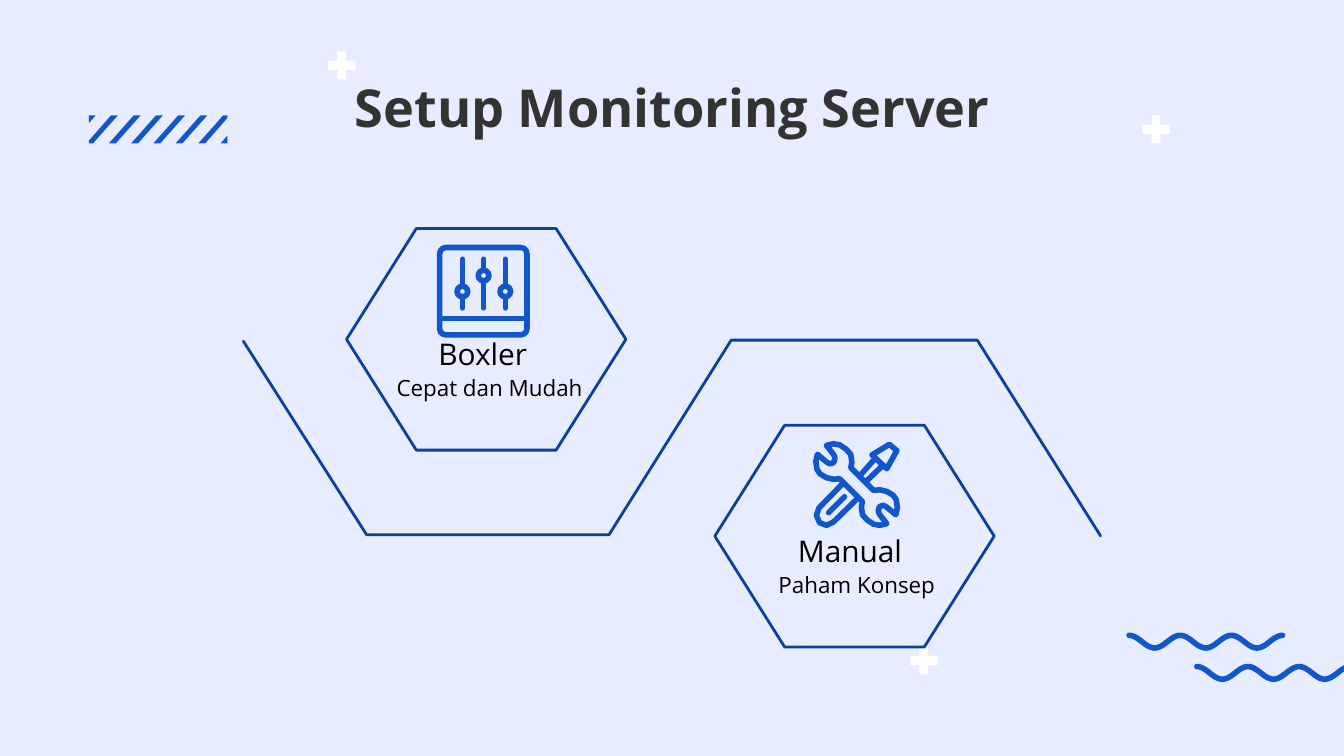
"""Build a slide that sets two ways of server monitoring side by side."""
from math import cos, pi

from pptx import Presentation
from pptx.dml.color import RGBColor
from pptx.enum.shapes import MSO_CONNECTOR, MSO_SHAPE
from pptx.enum.text import MSO_ANCHOR, PP_ALIGN
from pptx.oxml.ns import qn
from pptx.util import Cm, Pt
from lxml.etree import SubElement

HUES = {"back": "E7ECFF", "blue": "1256CC", "navy": "0D4099",
        "white": "FFFFFF", "dark": "333333", "black": "000000"}
TONE = {name: RGBColor.from_string(code) for name, code in HUES.items()}

deck = Presentation()
deck.slide_width, deck.slide_height = Cm(25.4), Cm(14.29)
slide = deck.slides.add_slide(deck.slide_layouts[6])
slide.background.fill.solid()
slide.background.fill.fore_color.rgb = TONE["back"]
shapes = slide.shapes


def write(text, left, top, width, height, size=12, tone="black", bold=False):
    box = shapes.add_textbox(Cm(left), Cm(top), Cm(width), Cm(height))
    frame = box.text_frame
    frame.word_wrap = True
    frame.vertical_anchor = MSO_ANCHOR.MIDDLE
    frame.margin_left = frame.margin_right = Cm(0.25)
    frame.margin_top = frame.margin_bottom = Cm(0.25)
    para = frame.paragraphs[0]
    para.alignment = PP_ALIGN.CENTER
    run = para.add_run()
    run.text = text
    run.font.name = "Open Sans"
    run.font.size = Pt(size)
    run.font.bold = bold
    run.font.color.rgb = TONE[tone]


def draw(spots, fill=None, line=None, thick=3, close=False):
    spots = [(Cm(x), Cm(y)) for x, y in spots]
    pen = shapes.build_freeform(*spots[0])
    pen.add_line_segments(spots[1:], close=close)
    form = pen.convert_to_shape()
    form.shadow.inherit = False
    if fill:
        form.fill.solid()
        form.fill.fore_color.rgb = TONE[fill]
    else:
        form.fill.background()
    if line:
        form.line.color.rgb = TONE[line]
        form.line.width = Pt(thick)
        form.element.spPr.find(qn("a:ln")).set("cap", "rnd")
    else:
        form.line.fill.background()


high, low = 2.18, 2.71
stripes = [[(1.68, high), (1.81, high), (1.68, 2.33)],
           [(2.1, high), (2.23, high), (1.76, low), (1.68, low), (1.68, 2.66)],
           [(4.22, high), (4.3, high), (4.3, 2.23), (3.88, low), (3.75, low)],
           [(4.3, 2.56), (4.3, low), (4.17, low)]]
for step in range(4):
    left = 2.06 + 0.42 * step
    stripes.append([(left + 0.47, high), (left + 0.6, high),
                    (left + 0.13, low), (left, low)])
for stripe in stripes:
    draw(stripe, fill="blue", close=True)

for left, top in [(21.34, 12.01), (22.62, 12.6)]:
    draw([(left + 2.9 * n / 72, top + 0.12 * (1 - cos(n * pi / 12)))
          for n in range(73)], line="blue")

for left, top in [(21.59, 2.18), (17.2, 12.22), (6.2, 0.97)]:
    plus = shapes.add_shape(MSO_SHAPE.CROSS, Cm(left), Cm(top), Cm(0.52), Cm(0.53))
    plus.adjustments[0] = 0.34
    plus.shadow.inherit = False
    plus.fill.solid()
    plus.fill.fore_color.rgb = TONE["white"]
    plus.line.fill.background()

write("Setup Monitoring Server", 1.98, 1.5, 21.44, 1.04, size=28, tone="dark", bold=True)

draw([(20.8, 10.13), (18.47, 6.43), (13.82, 6.43), (11.51, 10.11),
      (6.93, 10.11), (4.6, 6.45)], line="navy", thick=1.5)
for left, top, head, note, shift in [(6.55, 4.32, "Boxler", "Cepat dan Mudah", 0.1),
                                     (13.51, 8.04, "Manual", "Paham Konsep", 0.08)]:
    cell = shapes.add_shape(MSO_SHAPE.HEXAGON, Cm(left), Cm(top), Cm(5.28), Cm(4.19))
    cell.adjustments[0] = 0.315
    cell.shadow.inherit = False
    cell.fill.background()
    cell.line.color.rgb = TONE["navy"]
    cell.line.width = Pt(1.5)
    write(note, left + 0.13 + shift, top + 2.27, 4.95, 1.47)
    write(head, left + shift, top + 1.86, 4.95, 1, size=16)

midx, midy = 16.19, 9.16
jaw = [(-0.11, -0.32), (-0.09, -0.42), (-0.11, -0.57), (-0.2, -0.67), (-0.32, -0.75),
       (-0.44, -0.77), (-0.57, -0.74), (-0.43, -0.56), (-0.41, -0.5), (-0.43, -0.42),
       (-0.5, -0.39), (-0.56, -0.42), (-0.74, -0.57), (-0.77, -0.44), (-0.75, -0.29),
       (-0.69, -0.2), (-0.57, -0.13), (-0.44, -0.1), (-0.32, -0.11)]
wrench = jaw + [(-x, -y) for x, y in jaw]
grip = [(-0.28, 0), (-0.71, 0.44), (-0.76, 0.58), (-0.7, 0.72), (-0.57, 0.77),
        (-0.44, 0.71), (0, 0.28)]
blade = [(0.29, -0.56), (0.62, -0.76), (0.76, -0.64), (0.57, -0.3)]
for part, close in [(wrench, True), (grip, False), (blade, True)]:
    draw([(midx + x, midy + y) for x, y in part], line="blue", close=close)

panel = shapes.add_shape(MSO_SHAPE.ROUNDED_RECTANGLE, Cm(8.31), Cm(4.68), Cm(1.65), Cm(1.65))
panel.adjustments[0] = 0.07
knobs = [(8.74, 5.51), (9.14, 5.21), (9.55, 5.51)]
bars = [(8.31, 6.02, 9.96, 6.02)] + [(x, 4.9, x, 5.82) for x, y in knobs]
for ax, ay, bx, by in [(0.08, -0.19, 0.31, -0.45), (0.2, -0.08, 0.46, -0.33),
                       (-0.53, 0.53, -0.23, 0.23)]:
    bars.append((midx + ax, midy + ay, midx + bx, midy + by))
for ends in bars:
    bar = shapes.add_connector(MSO_CONNECTOR.STRAIGHT, *map(Cm, ends))
    bar.line.color.rgb = TONE["blue"]
    bar.line.width = Pt(3)
    bar.element.spPr.find(qn("a:ln")).set("cap", "rnd")
    SubElement(bar.element.spPr, qn("a:effectLst"))

rings = [shapes.add_shape(MSO_SHAPE.OVAL, Cm(x - 0.1), Cm(y - 0.1), Cm(0.2), Cm(0.2))
         for x, y in knobs]
for ring in rings:
    ring.fill.solid()
    ring.fill.fore_color.rgb = TONE["back"]
panel.fill.background()
for item in [panel, *rings]:
    item.shadow.inherit = False
    item.line.color.rgb = TONE["blue"]
    item.line.width = Pt(3)

deck.save("out.pptx")
